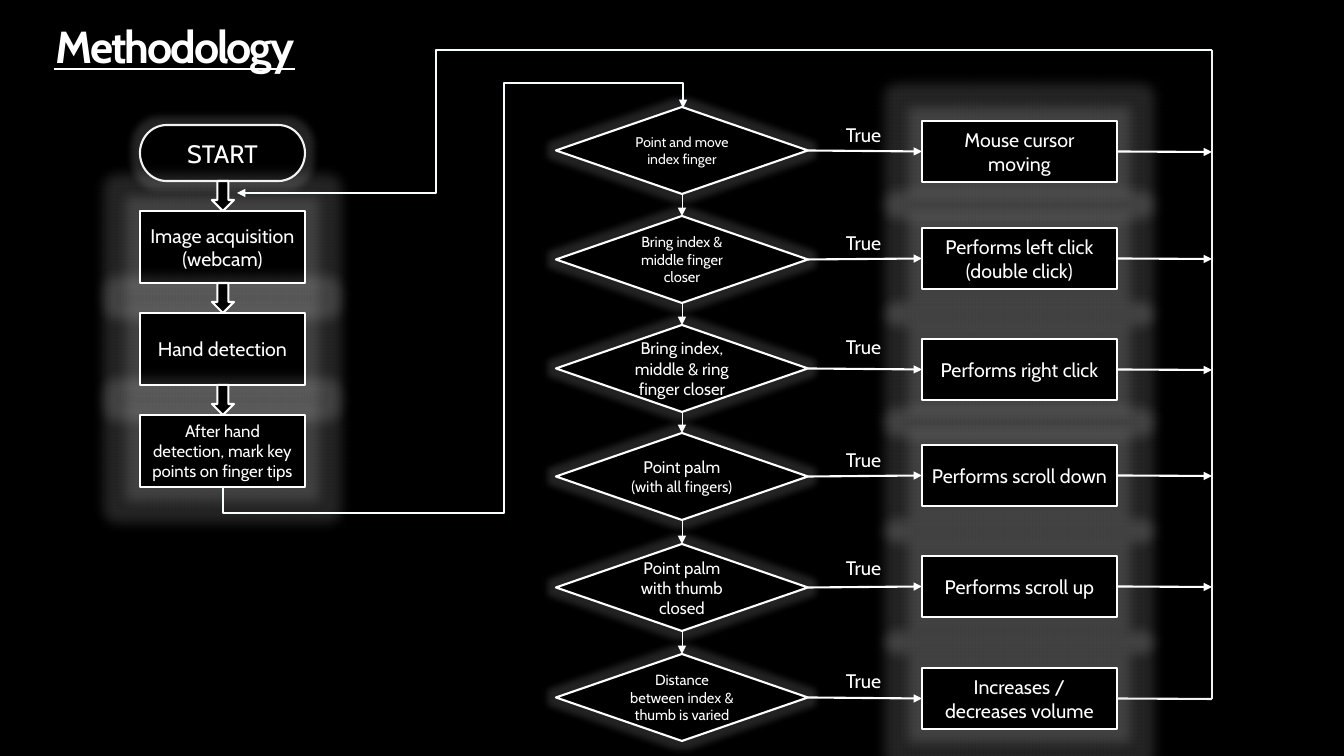
import pptx
import pptx.util
import pptx.dml.color
import pptx.enum.shapes
import pptx.enum.text
import pptx.oxml
from pptx.oxml.ns import nsdecls, qn

SCALE = 914400 / 100.8
FONT = "Cabin"
WHITE, BLACK, PALE, ICE = "FFFFFF", "000000", "F2F2F2", "F7FFFF"
SHAPE = pptx.enum.shapes.MSO_SHAPE
CONNECTOR = pptx.enum.shapes.MSO_CONNECTOR
ALIGN = pptx.enum.text.PP_ALIGN
ANCHOR = pptx.enum.text.MSO_ANCHOR
WIDE_GLOW, NARROW_GLOW = 25, 14
TOP, LEFT, BOTTOM, RIGHT = range(4)

STEPS = [
    [("Image acquisition", 14), ("(webcam)", 14)],
    [("Hand detection", 14)],
    [("After hand detection, mark key points on finger tips", 12)],
]
GESTURES = [
    (107, 118, 121, [("Point and move", 10), ("index finger", 10)], "Mouse cursor moving"),
    (216, 226, 228, [("Bring index & middle finger closer", 10.5)],
     "Performs left click (double click)"),
    (325, 330, 339, [("Bring index, middle & ring finger closer", 12)], "Performs right click"),
    (433, 443, 445, [("Point palm", 12), ("(with all fingers)", 11)], "Performs scroll down"),
    (544, 551, 556, [("Point palm with thumb closed", 12)], "Performs scroll up"),
    (654, 664, 668, [("Distance between index & thumb is varied", 10.5)],
     "Increases / decreases volume"),
]


def px(length):
    """Turn px into EMU."""
    return pptx.util.Emu(round(length * SCALE))


def color(value):
    """Turn a hex string into a colour."""
    return pptx.dml.color.RGBColor.from_string(value)


def write(frame, lines, align=ALIGN.CENTER, bold=False):
    """Write one paragraph per (text, size) pair and return the last run."""
    for index, (text, size) in enumerate(lines):
        paragraph = frame.add_paragraph() if index else frame.paragraphs[0]
        paragraph.alignment = align
        run = paragraph.add_run()
        run.text = text
        run.font.name = FONT
        run.font.size = pptx.util.Pt(size)
        run.font.bold = bold
        run.font.color.rgb = color(WHITE)
    return run


def add_node(slide, kind, box, lines=(), glow=0, line=WHITE):
    """Add a black outlined shape with centred text and an optional glow."""
    shape = slide.shapes.add_shape(kind, *map(px, box))
    shape.shadow.inherit = False
    shape.fill.solid()
    shape.fill.fore_color.rgb = color(BLACK)
    shape.line.color.rgb = color(line)
    shape.line.width = pptx.util.Pt(1.5)
    if glow:
        effects = shape._element.spPr.find(qn("a:effectLst"))
        effects.append(pptx.oxml.parse_xml(
            f'<a:glow {nsdecls("a")} rad="{px(glow)}"><a:srgbClr val="{WHITE}">'
            '<a:alpha val="14000"/></a:srgbClr></a:glow>'))
    if lines:
        shape.text_frame.word_wrap = True
        shape.text_frame.vertical_anchor = ANCHOR.MIDDLE
        write(shape.text_frame, lines)
    return shape


def add_line(slide, start, end, line=WHITE, width=1.5, arrow=False, kind=CONNECTOR.STRAIGHT):
    """Add a connector, with a triangle at its end if asked."""
    connector = slide.shapes.add_connector(kind, *map(px, (*start, *end)))
    connector.line.color.rgb = color(line)
    connector.line.width = pptx.util.Pt(width)
    if arrow:
        connector.line._get_or_add_ln().append(
            pptx.oxml.parse_xml(f'<a:tailEnd {nsdecls("a")} type="triangle"/>'))
    connector._element.spPr.append(pptx.oxml.parse_xml(f'<a:effectLst {nsdecls("a")}/>'))
    return connector


def join(slide, first, first_side, second, second_side, width=1.5):
    """Join the sides of two shapes with an arrow."""
    connector = add_line(slide, (0, 0), (1, 1), width=width, arrow=True)
    connector.begin_connect(first, first_side)
    connector.end_connect(second, second_side)


def bend(connector, preset, adjustments):
    """Set the preset of an elbow connector and where it turns."""
    geometry = connector._element.spPr.find(qn("a:prstGeom"))
    geometry.set("prst", preset)
    guides = geometry.find(qn("a:avLst"))
    for index, value in enumerate(adjustments, 1):
        guides.append(pptx.oxml.parse_xml(
            f'<a:gd {nsdecls("a")} name="adj{index}" fmla="val {value}"/>'))


def add_title(slide, left, top, width, height):
    """Place the heading and the rule below it."""
    frame = slide.shapes.add_textbox(*map(px, (left, top, width, height))).text_frame
    frame.word_wrap = True
    frame.vertical_anchor = ANCHOR.MIDDLE
    frame.margin_left = frame.margin_right = frame.margin_top = frame.margin_bottom = 0
    run = write(frame, [("Methodology", 32)], ALIGN.LEFT, True)
    run._r.get_or_add_rPr().set("spc", "-150")
    frame.paragraphs[0].line_spacing = 0.9
    add_line(slide, (left - 2, top + 43), (left + 239, top + 43), width=1.25)


def add_pipeline(slide, left, top, width):
    """Place the start, the steps below it and the block arrows between."""
    start_height, step_height, gap = 56, 72, 30
    add_node(slide, SHAPE.FLOWCHART_TERMINATOR, (left, top, width, start_height),
             [("START", 18)], NARROW_GLOW, PALE)
    first = top + start_height + gap
    for index, lines in enumerate(STEPS):
        y = first + index * (step_height + gap)
        add_node(slide, SHAPE.RECTANGLE, (left, y, width, step_height), lines, WIDE_GLOW)
    for index in range(len(STEPS)):
        y = first - gap + index * (step_height + gap)
        add_node(slide, SHAPE.DOWN_ARROW, (left + 72, y, 22, gap))


def add_gestures(slide, left, width, rail):
    """Place the decisions, their results and the rail that collects them."""
    previous = None
    for decision_top, label_top, result_top, lines, result_text in GESTURES:
        decision = add_node(slide, SHAPE.FLOWCHART_DECISION,
                            (left, decision_top, width, 87), lines, NARROW_GLOW)
        result = add_node(slide, SHAPE.RECTANGLE, (left + 366, result_top, 195, 61),
                          [(result_text, 14)], WIDE_GLOW)
        join(slide, decision, RIGHT, result, LEFT)
        if previous:
            join(slide, previous, BOTTOM, decision, TOP, 0.5)
        previous = decision
        label = slide.shapes.add_textbox(*map(px, (left + 280, label_top, 59, 34)))
        write(label.text_frame, [("True", 14)], ALIGN.LEFT)
        last = result_top == GESTURES[-1][2]
        middle = result_top + 31
        exit_line = add_line(slide, (left + 561, middle), (rail, middle),
                             PALE if last else WHITE, arrow=not last)
        exit_line.begin_connect(result, RIGHT)
    add_line(slide, (rail, middle), (rail, 50), PALE)


def add_loops(slide, rail):
    """Place the return to the pipeline and the way on to the decisions."""
    back = add_line(slide, (rail, 50), (237, 193), ICE, arrow=True, kind=CONNECTOR.ELBOW)
    bend(back, "bentConnector3", [79600])
    left, top, right, bottom = 223, 108, 683, 488
    onward = add_line(slide, (left, bottom), (right, top), ICE, arrow=True, kind=CONNECTOR.ELBOW)
    width, height = bottom - top, right - left
    onward.left, onward.top = px((left + right - width) / 2), px((top + bottom - height) / 2)
    onward.width, onward.height = px(width), px(height)
    transform = onward._element.spPr.find(qn("a:xfrm"))
    for name, value in (("rot", "5400000"), ("flipH", "1"), ("flipV", "1")):
        transform.set(name, value)
    bend(onward, "bentConnector5", [-6600, 61100, 106600])


def main():
    """Build the slide and save it."""
    presentation = pptx.Presentation()
    presentation.slide_width, presentation.slide_height = px(1344), px(756)
    slide = presentation.slides.add_slide(presentation.slide_layouts[6])
    slide.background.fill.solid()
    slide.background.fill.fore_color.rgb = color(BLACK)
    add_title(slide, 56, 26, 1100, 47)
    add_pipeline(slide, 140, 125, 165)
    add_gestures(slide, 556, 252, 1212)
    add_loops(slide, 1212)
    presentation.save("out.pptx")


if __name__ == "__main__":
    main()
